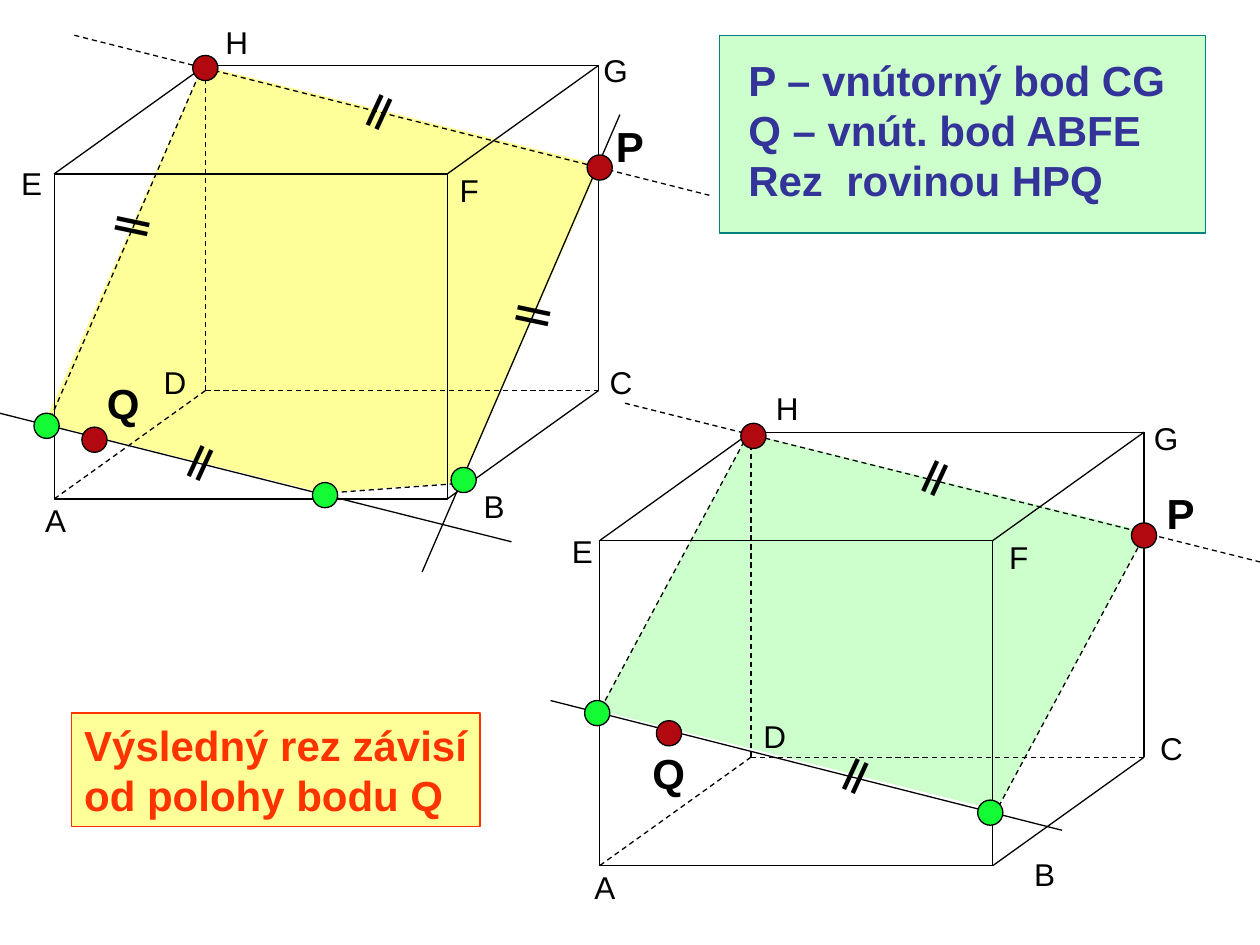
from lxml import etree
from pptx import Presentation
from pptx.dml.color import RGBColor
from pptx.enum.dml import MSO_LINE
from pptx.enum.shapes import MSO_CONNECTOR, MSO_SHAPE
from pptx.enum.text import MSO_AUTO_SIZE, PP_ALIGN
from pptx.oxml.ns import qn
from pptx.util import Inches, Pt

STRAIGHT = MSO_CONNECTOR.STRAIGHT
RECTANGLE, OVAL = MSO_SHAPE.RECTANGLE, MSO_SHAPE.OVAL
DASH = MSO_LINE.DASH
FIT_SHAPE = MSO_AUTO_SIZE.SHAPE_TO_FIT_TEXT
LEFT = PP_ALIGN.LEFT

BLACK = RGBColor(0x00, 0x00, 0x00)
YELLOW = RGBColor(0xFF, 0xFF, 0x99)
PALE_GREEN = RGBColor(0xCC, 0xFF, 0xCC)
TEAL = RGBColor(0x00, 0x80, 0x80)
INDIGO = RGBColor(0x33, 0x33, 0x99)
ORANGE = RGBColor(0xFF, 0x33, 0x00)
RED_DOT = RGBColor(0xB2, 0x08, 0x10)
GREEN_DOT = RGBColor(0x13, 0xFB, 0x34)

# Content: positions in inches, lines as (start, end, dashed)
TASK = ["P – vnútorný bod CG", "Q – vnút. bod ABFE", "Rez  rovinou HPQ"]
CONCLUSION = ["Výsledný rez závisí", "od polohy bodu Q"]

FRONT_WIDTH, FRONT_HEIGHT = 3.12, 2.58
DEPTH_X, DEPTH_Y = 1.2, -0.86
DOT = 0.2
MARK_WIDTH, MARK_HEIGHT = 0.75, 0.44
LABEL_WIDTHS = {"A": 0.36, "B": 0.36, "C": 0.38, "D": 0.38, "E": 0.36,
                "F": 0.35, "G": 0.39, "H": 0.38, "P": 0.42, "Q": 0.46}
ALONG, ACROSS = 24.7, 101.9  # rotation of the parallel marks

CUBOIDS = [
    {
        "corner_e": (0.43, 1.38),
        "section": [(1.61, 0.52), (4.76, 1.31), (3.66, 3.83), (2.56, 3.91), (0.35, 3.36)],
        "section_fill": YELLOW,
        "lines": [((2.64, 3.91), (3.74, 3.83), True), ((4.92, 0.91), (3.35, 4.54), False),
                  ((1.61, 0.52), (0.35, 3.44), True), ((0, 3.28), (4.06, 4.3), False),
                  ((0.59, 0.28), (5.63, 1.55), True)],
        "vertices": {"A": (0.26, 3.93), "B": (3.74, 3.82), "C": (4.74, 2.83), "D": (1.2, 2.83),
                     "E": (0.07, 1.25), "F": (3.55, 1.31), "G": (4.69, 0.36), "H": (1.69, 0.13)},
        "points": {"P": (4.79, 0.91), "Q": (0.75, 2.95)},
        "given_dots": [(0.75, 3.49), (4.76, 1.33), (1.63, 0.54)],
        "found_dots": [(3.68, 3.81), (0.37, 3.38), (2.58, 3.93)],
        "marks": [(3.85, 2.49, ACROSS), (0.67, 1.78, ACROSS),
                  (1.41, 3.51, ALONG), (2.83, 0.72, ALONG)],
    },
    {
        "corner_e": (4.76, 4.29),
        "section": [(4.76, 5.64), (5.94, 3.44), (9.1, 4.22), (7.91, 6.43)],
        "section_fill": PALE_GREEN,
        "lines": [((5.94, 3.44), (4.76, 5.64), True), ((9.1, 4.22), (7.91, 6.43), True),
                  ((4.37, 5.56), (8.43, 6.59), False), ((4.96, 3.2), (10, 4.46), True)],
        "vertices": {"A": (4.62, 6.84), "B": (8.11, 6.74), "C": (9.11, 5.74), "D": (5.96, 5.64),
                     "E": (4.44, 4.17), "F": (7.91, 4.22), "G": (9.06, 3.28), "H": (6.06, 3.04)},
        "points": {"P": (9.16, 3.82), "Q": (5.08, 5.88)},
        "given_dots": [(5.31, 5.82), (9.08, 4.25), (5.98, 3.46)],
        "found_dots": [(4.74, 5.66), (7.86, 6.45)],
        "marks": [(7.24, 3.63, ALONG), (6.61, 5.99, ALONG)],
    },
]


def add_line(shapes, start, end, dashed=False):
    line = shapes.add_connector(STRAIGHT, *map(Inches, start + end))
    line.line.color.rgb = BLACK
    line.line.width = Pt(0.75)
    if dashed:
        line.line.dash_style = DASH
    properties = line._element.find(qn("p:spPr"))
    etree.SubElement(properties, qn("a:effectLst"))


def add_figure(shapes, kind, left, top, width, height, fill=None, outline=BLACK):
    shape = shapes.add_shape(kind, *map(Inches, (left, top, width, height)))
    shape.shadow.inherit = False
    if fill is None:
        shape.fill.background()
    else:
        shape.fill.solid()
        shape.fill.fore_color.rgb = fill
    shape.line.color.rgb = outline
    shape.line.width = Pt(0.75)
    return shape


def write(shape, texts, size, color=BLACK, bold=False, wrap=False):
    frame = shape.text_frame
    frame.word_wrap = wrap
    frame.auto_size = FIT_SHAPE
    frame.text = "\n".join(texts)
    for paragraph in frame.paragraphs:
        paragraph.alignment = LEFT
        paragraph.font.name = "Arial"
        paragraph.font.size = Pt(size)
        paragraph.font.bold = bold
        paragraph.font.color.rgb = color


def add_text(shapes, left, top, width, height, texts, size, **style):
    box = shapes.add_textbox(*map(Inches, (left, top, width, height)))
    write(box, texts, size, **style)
    return box


def add_section(shapes, corners, fill):
    first, *others = [(Inches(x), Inches(y)) for x, y in corners]
    builder = shapes.build_freeform(*first)
    builder.add_line_segments(others, close=True)
    section = builder.convert_to_shape()
    section.shadow.inherit = False
    section.fill.solid()
    section.fill.fore_color.rgb = fill
    section.line.fill.background()


def add_cuboid(shapes, left, top):
    """Front face A B F E, with the back face shifted by the depth."""
    right, bottom = left + FRONT_WIDTH, top + FRONT_HEIGHT
    a, b, f, e = (left, bottom), (right, bottom), (right, top), (left, top)
    d, c, g, h = [(x + DEPTH_X, y + DEPTH_Y) for x, y in (a, b, f, e)]
    group = shapes.add_group_shape().shapes
    add_figure(group, RECTANGLE, left, top, FRONT_WIDTH, FRONT_HEIGHT)
    for start, end in [(b, c), (g, c), (h, g), (e, h), (f, g)]:
        add_line(group, start, end)
    for hidden_end in (a, c, h):
        add_line(group, d, hidden_end, dashed=True)


def add_drawing(shapes, cuboid):
    add_section(shapes, cuboid["section"], cuboid["section_fill"])
    for start, end, dashed in cuboid["lines"]:
        add_line(shapes, start, end, dashed)
    add_cuboid(shapes, *cuboid["corner_e"])
    for name, (left, top) in cuboid["vertices"].items():
        add_text(shapes, left, top, LABEL_WIDTHS[name], 0.4, [name], 18)
    for key, color in (("given_dots", RED_DOT), ("found_dots", GREEN_DOT)):
        for x, y in cuboid[key]:
            add_figure(shapes, OVAL, x - DOT / 2, y - DOT / 2, DOT, DOT, color)
    for name, (left, top) in cuboid["points"].items():
        add_text(shapes, left, top, LABEL_WIDTHS[name], 0.5, [name], 24, bold=True)
    for left, top, angle in cuboid["marks"]:
        mark = add_text(shapes, left, top, MARK_WIDTH, MARK_HEIGHT, ["||"], 20,
                        bold=True, wrap=True)
        mark.rotation = angle


def main():
    presentation = Presentation()
    presentation.slide_width, presentation.slide_height = Inches(10), Inches(7.5)
    slide = presentation.slides.add_slide(presentation.slide_layouts[6])
    shapes = slide.shapes

    # Task
    add_figure(shapes, RECTANGLE, 5.71, 0.28, 3.86, 1.57, PALE_GREEN, TEAL)
    add_text(shapes, 5.84, 0.38, 3.51, 1.3, TASK, 24, color=INDIGO, bold=True)

    # Two cuboids with their sections
    for cuboid in CUBOIDS:
        add_drawing(shapes, cuboid)

    # Conclusion
    conclusion = add_figure(shapes, RECTANGLE, 0.57, 5.66, 3.24, 0.9, YELLOW, ORANGE)
    write(conclusion, CONCLUSION, 24, color=ORANGE, bold=True)

    presentation.save("out.pptx")


if __name__ == "__main__":
    main()
